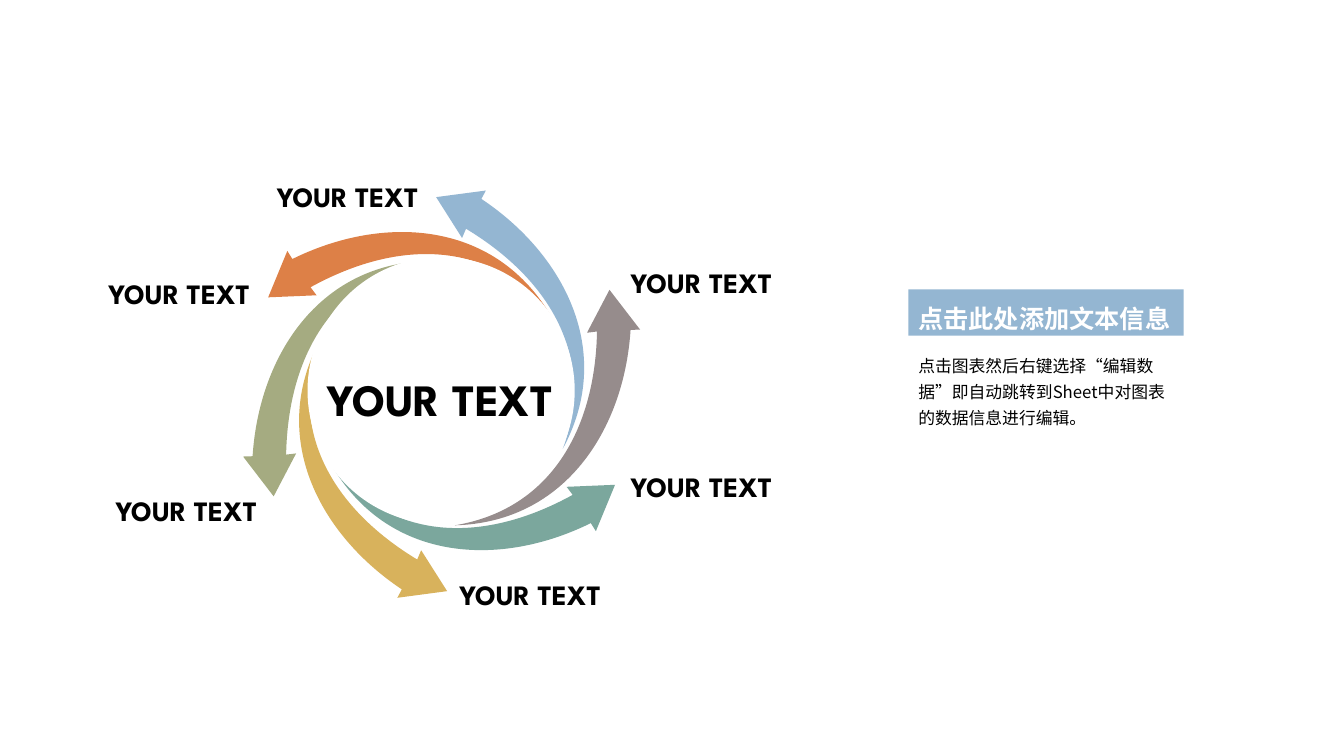
from dataclasses import dataclass
import math

import pptx
import pptx.dml.color
import pptx.enum.shapes
import pptx.enum.text
import pptx.oxml.ns
import pptx.util
from lxml import etree
from pptx.util import Inches

COLORS = {
    "teal": "7BA79D",
    "gray": "968C8C",
    "blue": "94B6D2",
    "orange": "DD8047",
    "green": "A5AB81",
    "gold": "D8B25C",
    "white": "FFFFFF",
    "black": "000000",
}
LATIN_FONT = "League Spartan"
CHINESE_FONT = "Noto Sans CJK SC"
CENTER_X = 4.38
CURVE_STEPS = 24
OUTER_CURVE = [(-1.07, 0.77), (-0.47, 1.5), (0.43, 1.51), (1.3, 1.03)]
ARROWHEAD = [(1.24, 0.95), (1.72, 0.93), (1.53, 1.39), (1.48, 1.31)]
INNER_CURVE = [(1.48, 1.31), (0.59, 1.75), (-0.5, 1.7), (-1.07, 0.77)]

Point = tuple[float, float]


@dataclass
class Arrow:
    """One step of the cycle: its pivot height and its label's top left corner."""
    color: str
    center_y: float
    label_left: float
    label_top: float


ARROWS = [
    Arrow("teal", 3.88, 5.68, 4.6),
    Arrow("gray", 3.9, 5.68, 2.58),
    Arrow("blue", 3.91, 2.17, 1.73),
    Arrow("orange", 3.88, 0.5, 2.69),
    Arrow("green", 3.9, 0.57, 4.84),
    Arrow("gold", 3.91, 3.98, 5.68),
]


def rgb(color: str) -> pptx.dml.color.RGBColor:
    """Return the named colour."""
    return pptx.dml.color.RGBColor.from_string(COLORS[color])


def paint(shape, color: str) -> None:
    """Give a shape a plain fill with no line or shadow."""
    shape.fill.solid()
    shape.fill.fore_color.rgb = rgb(color)
    shape.line.fill.background()
    shape.shadow.inherit = False


def add_panel(shapes, kind: str, color: str, left: float, top: float, width: float, height: float):
    """Add a preset shape in one colour."""
    preset = pptx.enum.shapes.MSO_SHAPE[kind]
    shape = shapes.add_shape(preset, Inches(left), Inches(top), Inches(width), Inches(height))
    paint(shape, color)
    return shape


def write_text(shape, text: str, *, size: int, font: str, color: str = "black",
               bold: bool = False, align: str = "LEFT", anchor: str = "TOP",
               wrap: bool = True, spacing: float = 1.0) -> None:
    """Write one formatted paragraph into a shape."""
    frame = shape.text_frame
    frame.word_wrap = wrap
    frame.auto_size = pptx.enum.text.MSO_AUTO_SIZE.SHAPE_TO_FIT_TEXT
    frame.vertical_anchor = pptx.enum.text.MSO_ANCHOR[anchor]
    paragraph = frame.paragraphs[0]
    paragraph.alignment = pptx.enum.text.PP_ALIGN[align]
    paragraph.line_spacing = spacing
    run = paragraph.add_run()
    run.text = text
    run.font.size = pptx.util.Pt(size)
    run.font.bold = bold
    run.font.color.rgb = rgb(color)
    run.font.name = font
    east_asian = etree.SubElement(run.font._element, pptx.oxml.ns.qn("a:ea"))
    east_asian.set("typeface", font)


def add_text_box(shapes, text: str, left: float, top: float, width: float, height: float,
                 **text_format) -> None:
    """Add a text box with one formatted paragraph."""
    box = shapes.add_textbox(Inches(left), Inches(top), Inches(width), Inches(height))
    write_text(box, text, **text_format)


def curve_points(controls: list[Point]) -> list[Point]:
    """Return points along a cubic curve."""
    points = []
    for step in range(CURVE_STEPS + 1):
        t = step / CURVE_STEPS
        weights = [math.comb(3, k) * t**k * (1 - t)**(3 - k) for k in range(4)]
        points.append((sum(w * x for w, (x, _) in zip(weights, controls)),
                       sum(w * y for w, (_, y) in zip(weights, controls))))
    return points


def add_arrow(shapes, arrow: Arrow, angle: float) -> None:
    """Draw a curved arrow turned about the cycle centre."""
    def place(point: Point) -> tuple[int, int]:
        """Turn a point and place it on the slide."""
        x, y = point
        return (Inches(CENTER_X + x * math.cos(angle) - y * math.sin(angle)),
                Inches(arrow.center_y + x * math.sin(angle) + y * math.cos(angle)))

    outline = curve_points(OUTER_CURVE) + ARROWHEAD + curve_points(INNER_CURVE)[1:-1]
    vertices = [place(point) for point in outline]
    builder = shapes.build_freeform(*vertices[0])
    builder.add_line_segments(vertices[1:], close=True)
    shape = builder.convert_to_shape()
    paint(shape, arrow.color)

    contour = next(shape._element.iter(pptx.oxml.ns.qn("a:path")))
    for command in list(contour):
        contour.remove(command)
    commands = [("moveTo", OUTER_CURVE[:1]), ("cubicBezTo", OUTER_CURVE[1:])]
    commands += [("lnTo", [corner]) for corner in ARROWHEAD]
    commands += [("cubicBezTo", INNER_CURVE[1:]), ("close", [])]
    for name, points in commands:
        command = etree.SubElement(contour, pptx.oxml.ns.qn(f"a:{name}"))
        for x, y in map(place, points):
            vertex = etree.SubElement(command, pptx.oxml.ns.qn("a:pt"))
            vertex.set("x", str(x - shape.left))
            vertex.set("y", str(y - shape.top))


def main() -> None:
    """Build the cycle slide and save it."""
    presentation = pptx.Presentation()
    presentation.slide_width = Inches(13.33)
    presentation.slide_height = Inches(7.5)
    slide = presentation.slides.add_slide(presentation.slide_layouts[6])
    shapes = slide.shapes

    for index, arrow in enumerate(ARROWS):
        add_arrow(shapes, arrow, -index * math.tau / len(ARROWS))
        add_text_box(shapes, "YOUR TEXT", arrow.label_left, arrow.label_top, 2.56, 0.44,
                     size=20, font=LATIN_FONT, bold=True, align="CENTER", anchor="MIDDLE")

    hub = shapes.add_group_shape()
    add_panel(hub.shapes, "OVAL", "white", 3.05, 2.55, 2.65, 2.65)
    hub_label = add_panel(hub.shapes, "RECTANGLE", "white", 3.15, 3.64, 2.45, 0.64)
    write_text(hub_label, "YOUR TEXT", size=32, font=LATIN_FONT, bold=True, wrap=False)

    add_text_box(shapes, "点击图表然后右键选择“编辑数据”即自动跳转到Sheet中对图表的数据信息进行编辑。",
                 9.01, 3.42, 2.73, 0.89, size=12, font=CHINESE_FONT, spacing=1.3)
    heading = add_panel(shapes, "RECTANGLE", "blue", 9.01, 2.87, 2.73, 0.46)
    write_text(heading, "点击此处添加文本信息", size=18, font=CHINESE_FONT, color="white",
               bold=True, wrap=False, spacing=1.3)
    presentation.save("out.pptx")


if __name__ == "__main__":
    main()
